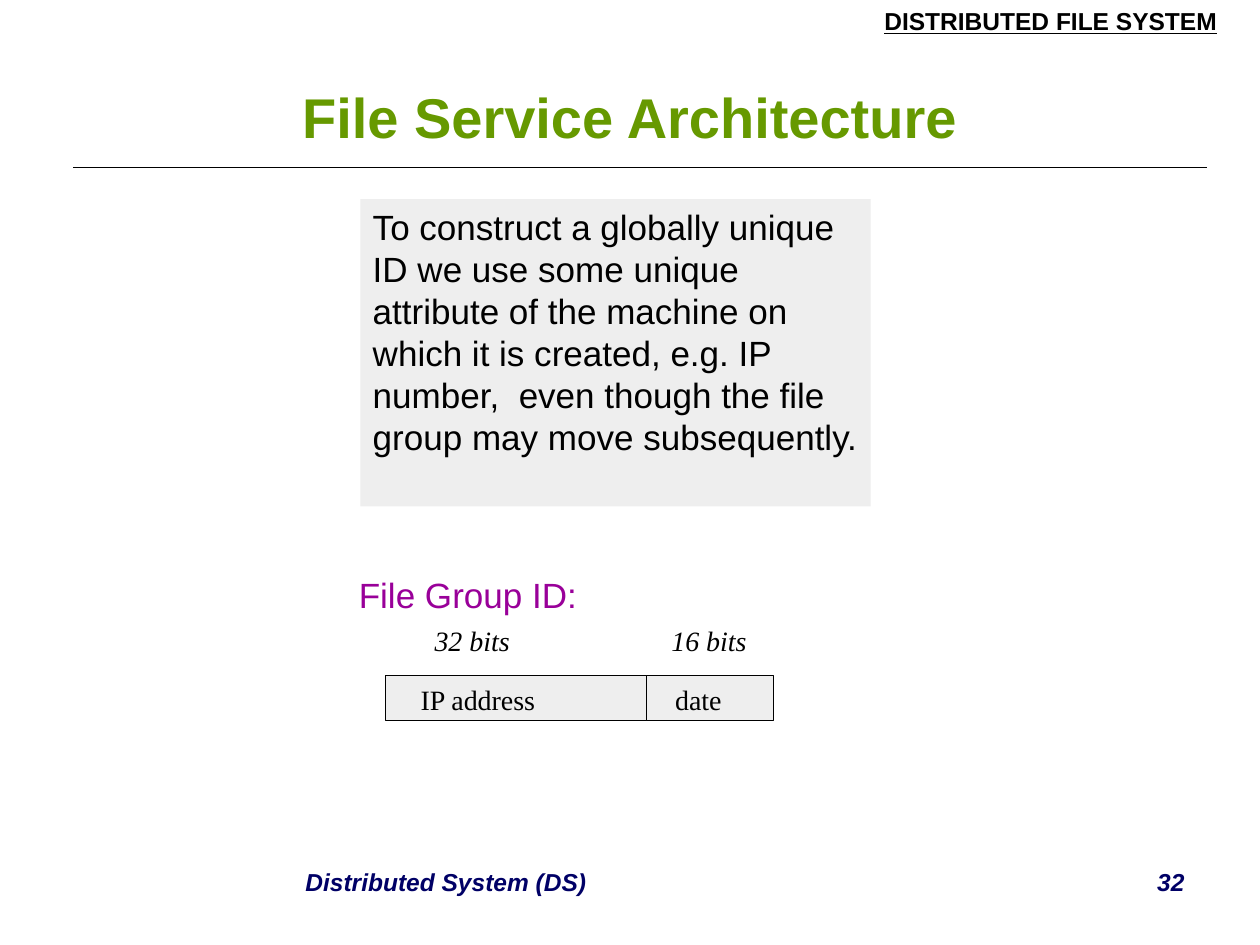
from dataclasses import dataclass

from lxml.etree import SubElement
from pptx import Presentation
from pptx.dml.color import RGBColor
from pptx.enum.shapes import MSO_SHAPE
from pptx.enum.text import MSO_ANCHOR, MSO_AUTO_SIZE, PP_ALIGN
from pptx.oxml.ns import qn
from pptx.util import Inches, Pt


@dataclass(frozen=True)
class Theme:
    ink: str = "000000"
    title: str = "669900"
    label: str = "990099"
    footer: str = "000066"
    panel: str = "EEEEEE"
    sans: str = "Arial"
    serif: str = "Times New Roman"
    title_size: int = 32
    body_size: int = 20
    field_size: int = 16
    small_size: int = 14


THEME = Theme()


def write_text(shape, text, size, color=THEME.ink, font=THEME.sans,
               align=PP_ALIGN.LEFT, anchor=MSO_ANCHOR.TOP, wrap=True, **styles):
    frame = shape.text_frame
    frame_format = {
        "word_wrap": wrap,
        "vertical_anchor": anchor,
        "auto_size": MSO_AUTO_SIZE.NONE if wrap else MSO_AUTO_SIZE.SHAPE_TO_FIT_TEXT,
    }
    for name, value in frame_format.items():
        setattr(frame, name, value)
    para = frame.paragraphs[0]
    para.alignment = align
    span = para.add_run()
    span.text = text
    font_format = {"name": font, "size": Pt(size), **styles}
    for name, value in font_format.items():
        setattr(span.font, name, value)
    span.font.color.rgb = RGBColor.from_string(color)


def add_label(page, box, text, size, **text_format):
    shape = page.shapes.add_textbox(*map(Inches, box))
    write_text(shape, text, size, **text_format)


def add_panel(page, box, outlined=False):
    shape = page.shapes.add_shape(MSO_SHAPE.RECTANGLE, *map(Inches, box))
    shape.shadow.inherit = False
    shape.fill.solid()
    shape.fill.fore_color.rgb = RGBColor.from_string(THEME.panel)
    if outlined:
        shape.line.color.rgb = RGBColor.from_string(THEME.ink)
        shape.line.width = Pt(0.75)
    else:
        shape.line.fill.background()
    return shape


def add_header(page, box):
    left, top, width, height = box
    running_width = 3.08
    add_label(page, (left + width - running_width, top, running_width, 0.34),
              "DISTRIBUTED FILE SYSTEM", THEME.small_size,
              bold=True, underline=True)
    add_label(page, (left + 0.5, top + 0.61, width - 1, height - 0.61),
              "File Service Architecture", THEME.title_size,
              color=THEME.title, align=PP_ALIGN.CENTER,
              anchor=MSO_ANCHOR.MIDDLE, bold=True)


def add_ruled_table(page, box):
    table = page.shapes.add_table(1, 1, *map(Inches, box)).table
    table.first_row = table.horz_banding = False
    cell = table.cell(0, 0)
    properties = cell._tc.get_or_add_tcPr()
    for side in ("lnL", "lnR", "lnT", "lnB"):
        border = SubElement(properties, qn(f"a:{side}"), w=str(Pt(1.08)))
        if side == "lnT":
            fill = SubElement(border, qn("a:solidFill"))
            SubElement(fill, qn("a:srgbClr"), val=THEME.ink)
        else:
            SubElement(border, qn("a:noFill"))
    cell.fill.background()


def add_explanation(page, box):
    write_text(
        add_panel(page, box),
        "To construct a globally unique ID we use some unique attribute of "
        "the machine on which it is created, e.g. IP number,  even though "
        "the file group may move subsequently.",
        THEME.body_size)


def add_group_id(page, box):
    left, top, width, height = box
    add_label(page, (left, top, 1.93, 0.44), "File Group ID:",
              THEME.body_size, color=THEME.label, wrap=False)
    field_height = 0.36
    field_top = top + height - field_height
    date_width = 1.01
    date_left = left + width - date_width
    address_left = left + 0.31
    fields = (
        (date_left, date_width, "date", 0.13, 0.57, "16 bits", 0.1),
        (address_left, date_left - address_left,
         "IP address", 0.18, 1.11, "32 bits", 0.29),
    )
    for start, span_width, name, name_shift, name_width, bits, bits_shift in fields:
        add_panel(page, (start, field_top, span_width, field_height), outlined=True)
        add_label(page, (start + name_shift, field_top + 0.01, name_width, 0.37),
                  name, THEME.field_size, font=THEME.serif, wrap=False)
        add_label(page, (start + bits_shift, top + 0.4, 0.82, 0.37),
                  bits, THEME.field_size, font=THEME.serif, wrap=False, italic=True)


def add_footer(page, box):
    left, top, width, height = box
    number_width = 2.33
    parts = (
        (left, 6.08, "Distributed System (DS)", PP_ALIGN.CENTER),
        (left + width - number_width, number_width, "32", PP_ALIGN.RIGHT),
    )
    for start, part_width, text, align in parts:
        add_label(page, (start, top, part_width, height), text, THEME.small_size,
                  color=THEME.footer, align=align, bold=True, italic=True)


def main():
    deck = Presentation()
    deck.slide_width, deck.slide_height = Inches(10), Inches(7.5)
    page = deck.slides.add_slide(deck.slide_layouts[6])
    add_header(page, (0, 0, 10, 1.24))
    add_ruled_table(page, (0.58, 1.33, 9, 5.08))
    add_explanation(page, (2.86, 1.58, 4.05, 2.44))
    add_group_id(page, (2.75, 4.5, 3.39, 1.22))
    add_footer(page, (0.5, 6.83, 9, 0.52))
    deck.save("out.pptx")


if __name__ == "__main__":
    main()
